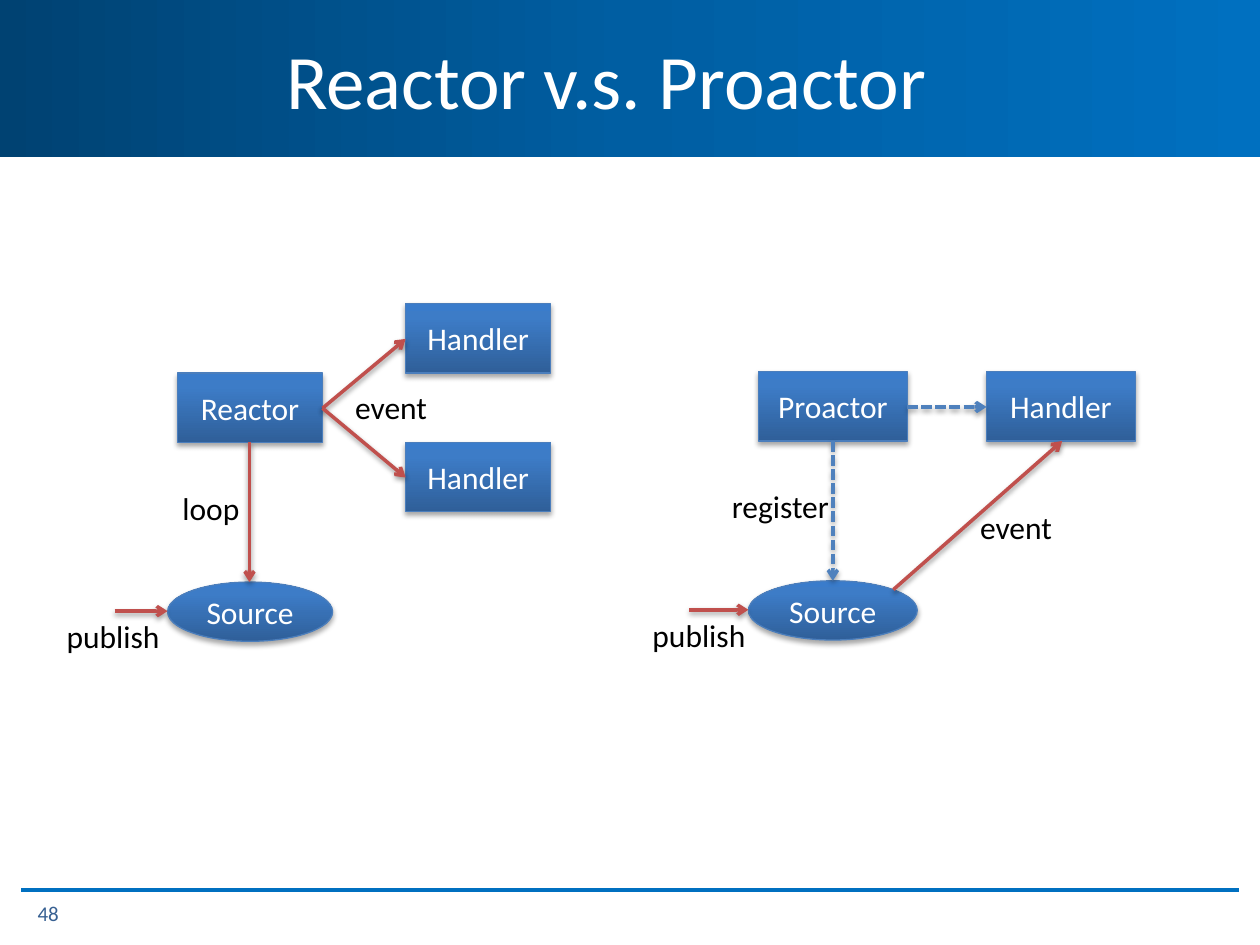
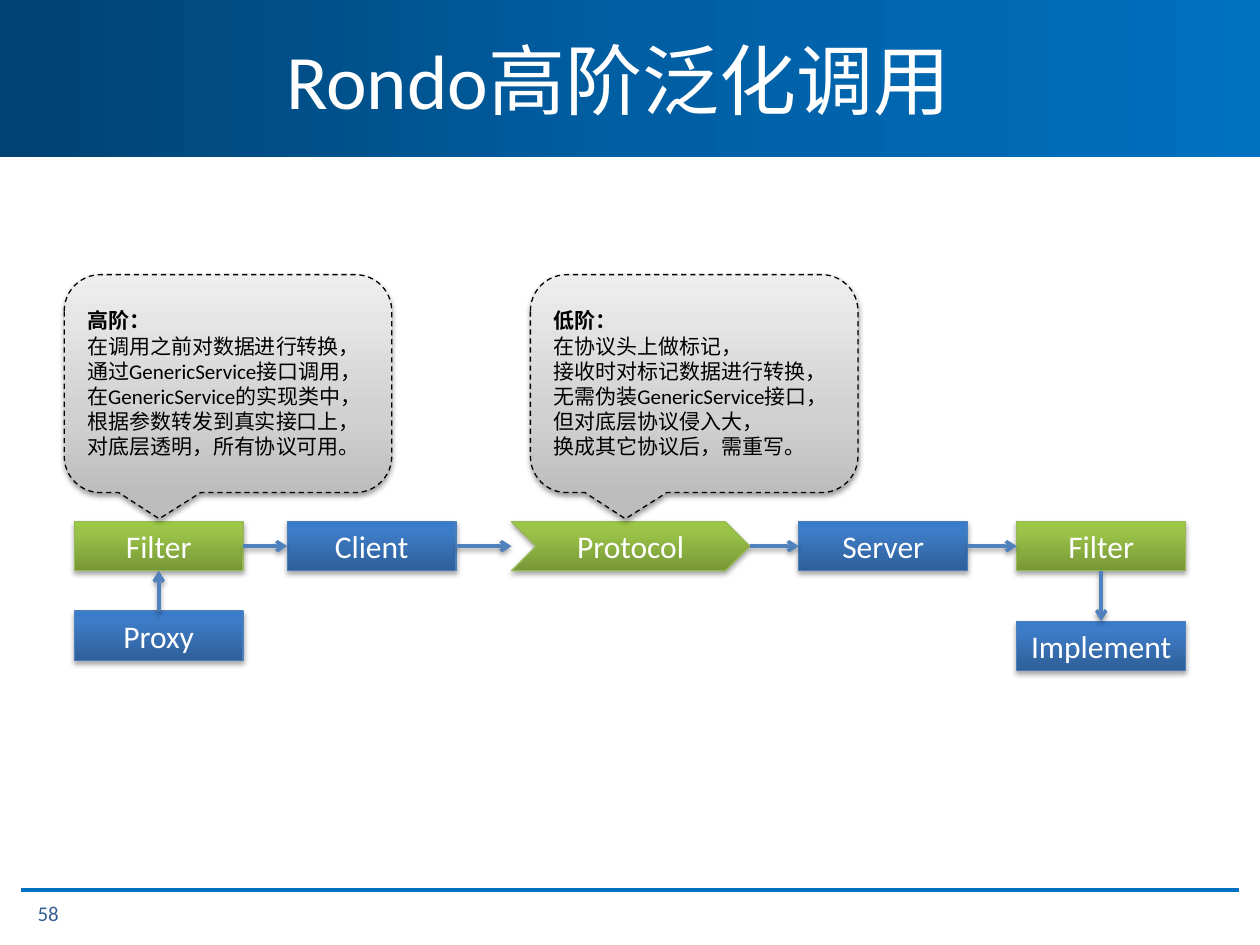
"""Build two slides: event models and a generic call chain."""
import lxml.etree
import pptx
import pptx.dml.color
import pptx.enum.dml
import pptx.enum.shapes
import pptx.enum.text
import pptx.oxml.ns
import pptx.util

Inches = pptx.util.Inches
Color = pptx.dml.color.RGBColor
Kind = pptx.enum.shapes.MSO_SHAPE
Dash = pptx.enum.dml.MSO_LINE
Align = pptx.enum.text.PP_ALIGN
Fit = pptx.enum.text.MSO_AUTO_SIZE
MIDDLE = pptx.enum.text.MSO_ANCHOR.MIDDLE
STRAIGHT = pptx.enum.shapes.MSO_CONNECTOR.STRAIGHT
qn = pptx.oxml.ns.qn

FONT = "Calibri"
WHITE = Color(0xFF, 0xFF, 0xFF)
BLACK = Color(0, 0, 0)
SKY = Color(0x00, 0x70, 0xC0)
NAVY = Color(0x37, 0x60, 0x92)
RED = Color(0xC0, 0x50, 0x4D)
BLUE = Color(0x4F, 0x81, 0xBD)
BLUE_EDGE = Color(0x4B, 0x7E, 0xBC)
GREEN_EDGE = Color(0x98, 0xB9, 0x55)
BAND_FILL = [(0, Color(0x00, 0x42, 0x72)), (50, Color(0x00, 0x5E, 0xA2)), (100, SKY)]
BLUE_FILL = [(0, Color(0x2F, 0x5F, 0x99)), (80, Color(0x3D, 0x7C, 0xC7)), (100, Color(0x3A, 0x7C, 0xCB))]
GREEN_FILL = [(0, Color(0x77, 0x97, 0x37)), (80, Color(0x9B, 0xC3, 0x48)), (100, Color(0x9D, 0xC7, 0x46))]
GRAY_FILL = [(0, Color(0xBD, 0xBD, 0xBD)), (35, Color(0xD1, 0xD1, 0xD1)), (100, Color(0xEE, 0xEE, 0xEE))]
BLUE_TONE = (BLUE_FILL, BLUE_EDGE)
GREEN_TONE = (GREEN_FILL, GREEN_EDGE)


def form(slide, kind, box, stops, turn):
    """Add a shape with a gradient fill and no shadow."""
    shape = slide.shapes.add_shape(kind, *map(Inches, box))
    shape.shadow.inherit = False
    shape.fill.gradient()
    shape.fill.gradient_angle = turn
    ramp = shape._element.spPr.find(".//" + qn("a:gsLst"))
    for old in list(ramp):
        ramp.remove(old)
    for place, color in stops:
        stop = lxml.etree.SubElement(ramp, qn("a:gs"), pos=str(place * 1000))
        lxml.etree.SubElement(stop, qn("a:srgbClr"), val=str(color))
    return shape


def write(frame, lines, size, color, align=Align.LEFT, lead=False):
    """Write one paragraph a line; lead makes the first one bold."""
    for index, line in enumerate(lines):
        para = frame.paragraphs[0] if index == 0 else frame.add_paragraph()
        para.alignment = align
        run = para.add_run()
        run.text = line
        run.font.name = FONT
        run.font.size = pptx.util.Pt(size)
        run.font.color.rgb = color
        run.font.bold = lead and index == 0


ROW, TALL, WIDE = 4.14, 0.39, 1.34
MID, FOOT = ROW + TALL / 2, ROW + TALL
chain = [
    (Kind.RECTANGLE, "Filter", (0.59, ROW, WIDE, TALL), GREEN_TONE),
    (Kind.RECTANGLE, "Client", (2.28, ROW, WIDE, TALL), BLUE_TONE),
    (Kind.CHEVRON, "Protocol", (4.06, ROW, 1.89, TALL), GREEN_TONE),
    (Kind.RECTANGLE, "Server", (6.34, ROW, WIDE, TALL), BLUE_TONE),
    (Kind.RECTANGLE, "Filter", (8.07, ROW, WIDE, TALL), GREEN_TONE),
]
hops = [
    (one[2][0] + one[2][2], MID, two[2][0], MID, BLUE, None)
    for one, two in zip(chain, chain[1:])
]

pages = [
    {
        "title": "Reactor v.s. Proactor",
        "number": "48",
        "nodes": [
            (Kind.RECTANGLE, "Reactor", (1.41, 2.96, 1.15, 0.55), BLUE_TONE),
            (Kind.RECTANGLE, "Handler", (3.22, 2.41, 1.15, 0.55), BLUE_TONE),
            (Kind.RECTANGLE, "Handler", (3.22, 3.51, 1.15, 0.55), BLUE_TONE),
            (Kind.OVAL, "Source", (1.33, 4.62, 1.31, 0.47), BLUE_TONE),
            (Kind.RECTANGLE, "Proactor", (6.02, 2.95, 1.18, 0.55), BLUE_TONE),
            (Kind.RECTANGLE, "Handler", (7.83, 2.95, 1.18, 0.55), BLUE_TONE),
            (Kind.OVAL, "Source", (5.94, 4.61, 1.34, 0.47), BLUE_TONE),
        ],
        "links": [
            (2.56, 3.24, 3.22, 2.69, RED, None),
            (2.56, 3.24, 3.22, 3.79, RED, None),
            (1.98, 3.51, 1.98, 4.62, RED, None),
            (0.91, 4.85, 1.33, 4.85, RED, None),
            (6.61, 3.5, 6.61, 4.61, BLUE, Dash.SQUARE_DOT),
            (7.2, 3.23, 7.83, 3.23, BLUE, Dash.SQUARE_DOT),
            (7.09, 4.68, 8.43, 3.5, RED, None),
            (5.47, 4.84, 5.94, 4.84, RED, None),
        ],
        "labels": [
            ("loop", 1.35, 3.83, 0.66),
            ("event", 2.72, 3.03, 0.78),
            ("publish", 0.43, 4.85, 0.95),
            ("register", 5.71, 3.82, 0.98),
            ("event", 7.68, 3.98, 0.78),
            ("publish", 5.08, 4.84, 0.95),
        ],
        "notes": [],
    },
    {
        "title": "Rondo高阶泛化调用",
        "number": "58",
        "nodes": chain + [
            (Kind.RECTANGLE, "Proxy", (0.59, 4.85, WIDE, TALL), BLUE_TONE),
            (Kind.RECTANGLE, "Implement", (8.07, 4.93, WIDE, TALL), BLUE_TONE),
        ],
        "links": hops + [
            (1.26, 4.85, 1.26, FOOT, BLUE, None),
            (8.74, FOOT, 8.74, 4.93, BLUE, None),
        ],
        "labels": [],
        "notes": [
            (4.21, [
                "低阶：",
                "在协议头上做标记，",
                "接收时对标记数据进行转换，",
                "无需伪装GenericService接口，",
                "但对底层协议侵入大，",
                "换成其它协议后，需重写。",
            ]),
            (0.51, [
                "高阶：",
                "在调用之前对数据进行转换，",
                "通过GenericService接口调用，",
                "在GenericService的实现类中，根据参数转发到真实接口上，",
                "对底层透明，所有协议可用。",
            ]),
        ],
    },
]

deck = pptx.Presentation()
deck.slide_width, deck.slide_height = Inches(10), Inches(7.5)
layout = deck.slide_layouts[5]
for holder in list(layout.placeholders)[1:]:
    holder._element.getparent().remove(holder._element)
slides = [deck.slides.add_slide(layout) for page in pages]

band = form(slides[0], Kind.RECTANGLE, (0, 0, 10, 1.25), BAND_FILL, 0)
band.line.fill.background()
rule = slides[0].shapes.add_connector(STRAIGHT, *map(Inches, (0.17, 7.06, 9.83, 7.06)))
rule.line.color.rgb = SKY
rule.line.width = pptx.util.Pt(2.25)
lxml.etree.SubElement(rule._element.spPr, qn("a:effectLst"))
for item in (rule, band):
    layout.shapes._spTree.insert(2, item._element)

for slide, page in zip(slides, pages):
    title = slide.shapes.title
    title.left, title.top, title.width, title.height = map(Inches, (2.17, 0, 7.83, 1.25))
    title.text_frame.auto_size = Fit.NONE
    title.text_frame.vertical_anchor = MIDDLE
    write(title.text_frame, [page["title"]], 44, WHITE)

    number = slide.shapes.add_textbox(*map(Inches, (0.2, 7.05, 1.1, 0.4)))
    number.text_frame.word_wrap = True
    number.text_frame.vertical_anchor = MIDDLE
    write(number.text_frame, [page["number"]], 12, NAVY)

    shaded = []
    for kind, text, box, (stops, edge) in page["nodes"]:
        node = form(slide, kind, box, stops, 90)
        node.line.color.rgb = edge
        node.line.width = pptx.util.Pt(0.75)
        node.text_frame.vertical_anchor = MIDDLE
        write(node.text_frame, [text], 18, WHITE, Align.CENTER)
        shaded.append((node, 35, 1.8))

    for *ends, color, dash in page["links"]:
        link = slide.shapes.add_connector(STRAIGHT, *map(Inches, ends))
        link.line.color.rgb = color
        link.line.width = pptx.util.Pt(2)
        if dash:
            link.line.dash_style = dash
        lxml.etree.SubElement(link.line._get_or_add_ln(), qn("a:tailEnd"), type="arrow")
        lxml.etree.SubElement(link._element.spPr, qn("a:effectLst"))
        shaded.append((link, 38, 1.6))

    for text, left, top, width in page["labels"]:
        label = slide.shapes.add_textbox(*map(Inches, (left, top, width, 0.4)))
        label.text_frame.word_wrap = False
        label.text_frame.auto_size = Fit.SHAPE_TO_FIT_TEXT
        write(label.text_frame, [text], 18, BLACK)

    for left, lines in page["notes"]:
        note = form(slide, Kind.ROUNDED_RECTANGULAR_CALLOUT, (left, 2.18, 2.6, 1.73), GRAY_FILL, 90)
        note.adjustments[0], note.adjustments[1] = -0.21, 0.62
        note.line.color.rgb = BLACK
        note.line.width = pptx.util.Pt(0.75)
        note.line.dash_style = Dash.DASH
        note.text_frame.vertical_anchor = MIDDLE
        write(note.text_frame, lines, 12, BLACK, lead=True)
        shaded.append((note, 38, 1.6))

    for item, dark, drop in shaded:
        effects = item._element.spPr.find(qn("a:effectLst"))
        shadow = lxml.etree.SubElement(
            effects, qn("a:outerShdw"), blurRad=str(pptx.util.Pt(3.1)),
            dist=str(pptx.util.Pt(drop)), dir="5400000", rotWithShape="0")
        tint = lxml.etree.SubElement(shadow, qn("a:srgbClr"), val=str(BLACK))
        lxml.etree.SubElement(tint, qn("a:alpha"), val=str(dark * 1000))

deck.save("out.pptx")
